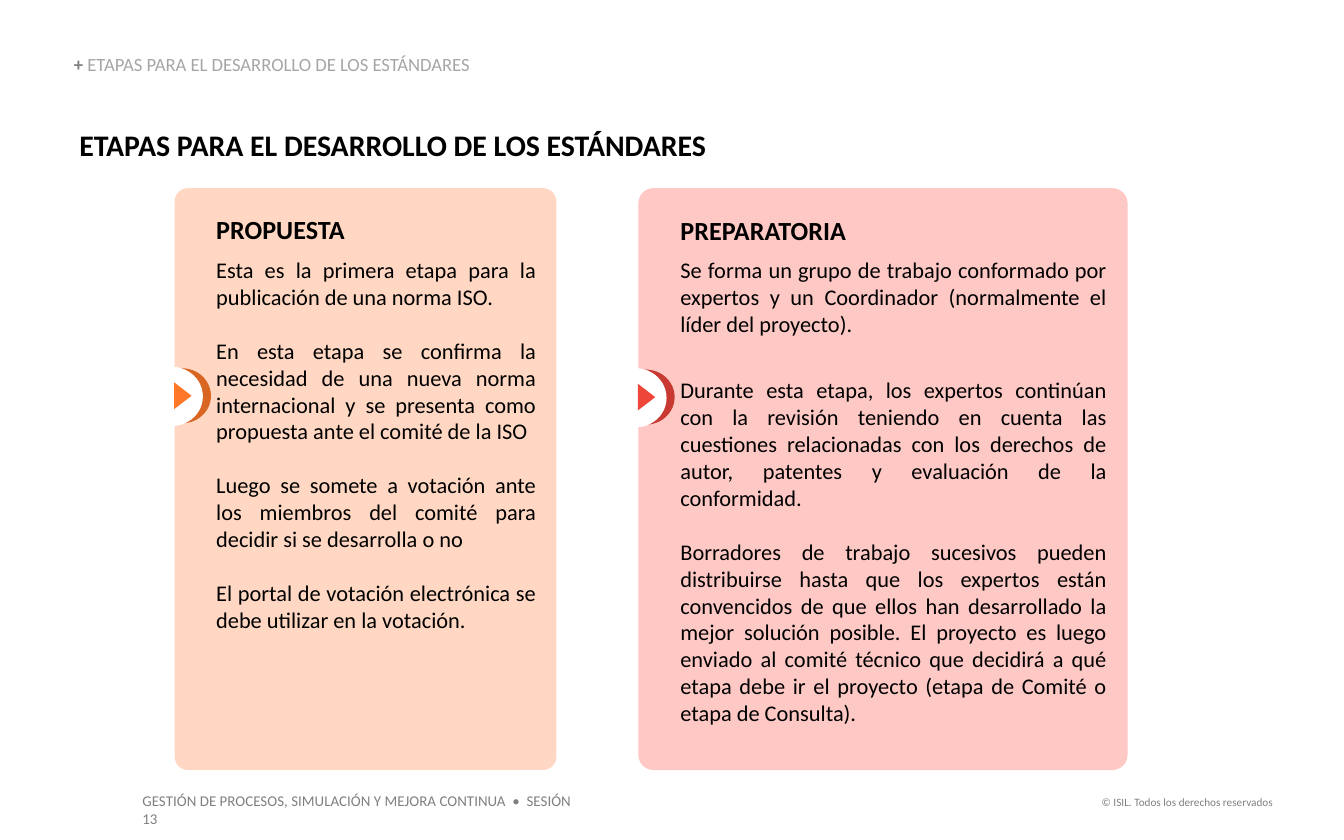
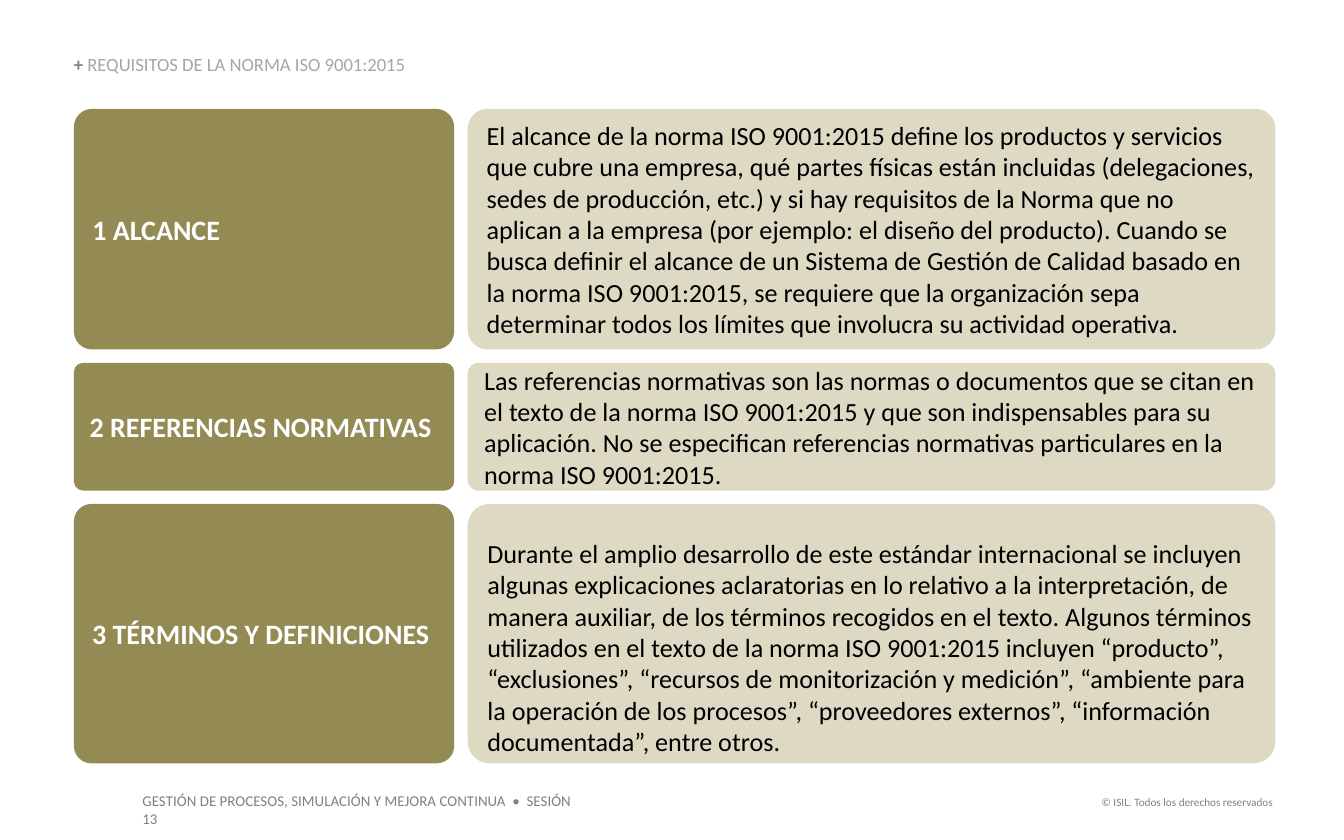
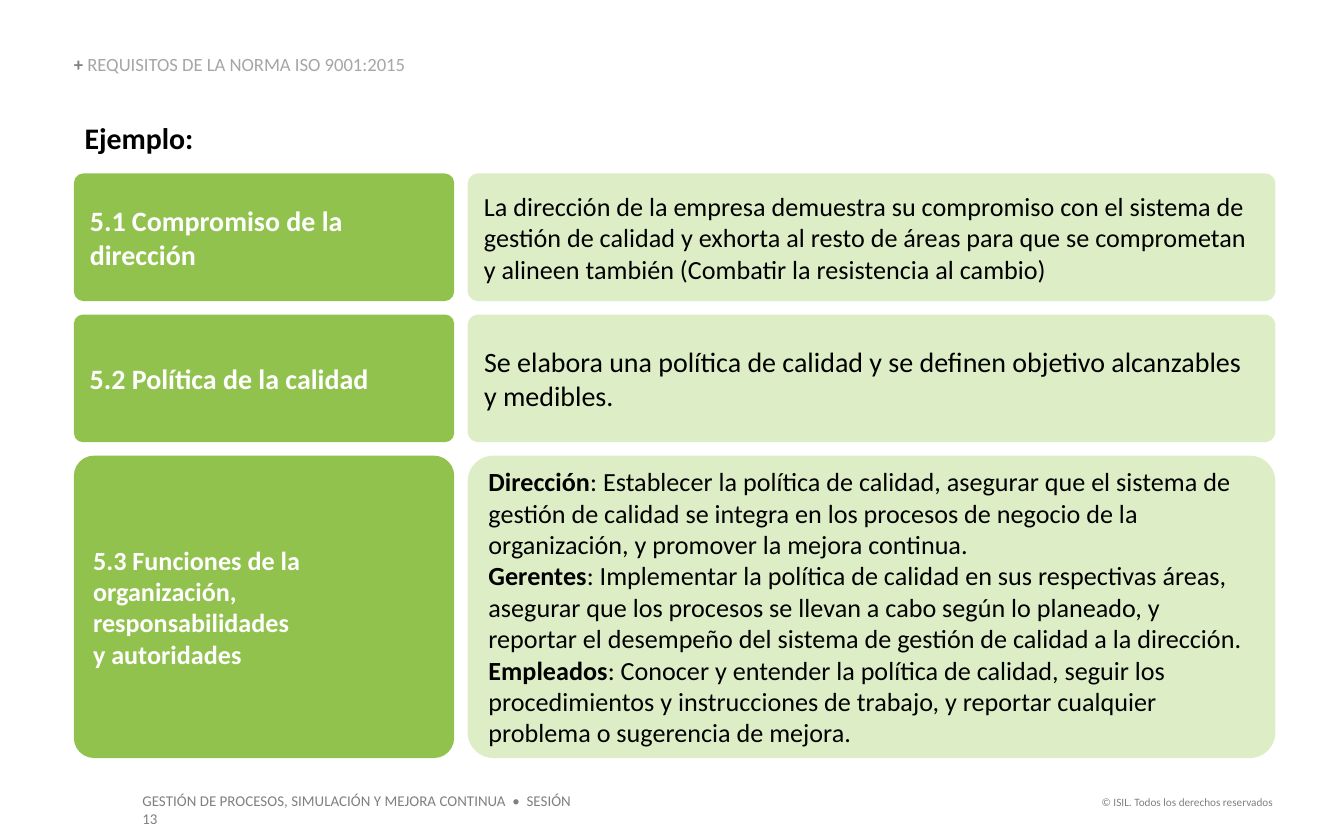
from pptx import Presentation
from pptx.dml.color import RGBColor
from pptx.enum.shapes import MSO_SHAPE
from pptx.enum.text import MSO_ANCHOR, MSO_AUTO_SIZE, PP_ALIGN
from pptx.util import Inches, Pt

ROUNDED, OVAL, TRIANGLE = (
    MSO_SHAPE.ROUNDED_RECTANGLE, MSO_SHAPE.OVAL, MSO_SHAPE.ISOSCELES_TRIANGLE)
TOP, MIDDLE, BOTTOM = MSO_ANCHOR.TOP, MSO_ANCHOR.MIDDLE, MSO_ANCHOR.BOTTOM
LEFT, RIGHT, JUSTIFY = PP_ALIGN.LEFT, PP_ALIGN.RIGHT, PP_ALIGN.JUSTIFY

FONT = "Calibri"
BLACK, WHITE, GRAY, LIGHT_GRAY = "000000", "FFFFFF", "808080", "A6A6A6"
TITLE_ONLY = 5

# Shared layout, in inches
LABEL_LEFT, LABEL_WIDTH = 0.55, 2.83
DETAIL_LEFT, DETAIL_WIDTH = 3.48, 6.01
ROW_GAP = 0.1
CORNERS = [(0.075, 0.082), (0.071, 0.085), (0.067, 0.085)]
CARD_TOP, CARD_HEIGHT = 1.4, 4.33
BLANK_LINE = 14.5  # points

COURSE = "GESTIÓN DE PROCESOS, SIMULACIÓN Y MEJORA CONTINUA  •  SESIÓN 13"
COPYRIGHT = "© ISIL. Todos los derechos reservados"
STAGES_TITLE = "ETAPAS PARA EL DESARROLLO DE LOS ESTÁNDARES"
REQUIREMENTS_TITLE = "REQUISITOS DE LA NORMA ISO 9001:2015"

# Each paragraph: text and the space after it in points
CARDS = [
    dict(left=1.3, width=2.84, corner=0.035, badge_top=2.73,
         fill="FFD7C2", ring="D86522", arrow="FF7828", name="PROPUESTA",
         paragraphs=[
             ("Esta es la primera etapa para la publicación de una norma ISO.", BLANK_LINE),
             ("En esta etapa se confirma la necesidad de una nueva norma internacional "
              "y se presenta como propuesta ante el comité de la ISO", BLANK_LINE),
             ("Luego se somete a votación ante los miembros del comité para decidir "
              "si se desarrolla o no", BLANK_LINE),
             ("El portal de votación electrónica se debe utilizar en la votación.", 0),
         ]),
    dict(left=4.75, width=3.64, corner=0.031, badge_top=2.74,
         fill="FEC9C5", ring="C73931", arrow="EE4639", name="PREPARATORIA",
         paragraphs=[
             ("Se forma un grupo de trabajo conformado por expertos y un Coordinador "
              "(normalmente el líder del proyecto).", 21),
             ("Durante esta etapa, los expertos continúan con la revisión teniendo en "
              "cuenta las cuestiones relacionadas con los derechos de autor, patentes y "
              "evaluación de la conformidad.", BLANK_LINE),
             ("Borradores de trabajo sucesivos pueden distribuirse hasta que los expertos "
              "están convencidos de que ellos han desarrollado la mejor solución "
              "posible. El proyecto es luego enviado al comité técnico que decidirá a qué "
              "etapa debe ir el proyecto (etapa de Comité o etapa de Consulta).", 0),
         ]),
]

# Each row: height, label lines, label size, detail paragraphs as (lead, text),
# detail size, top inset of the detail
CLAUSES = [
    (1.79, ["1 ALCANCE"], 15, [
        ("", "El alcance de la norma ISO 9001:2015 define los productos y servicios que "
         "cubre una empresa, qué partes físicas están incluidas (delegaciones, sedes de "
         "producción, etc.) y si hay requisitos de la Norma que no aplican a la empresa "
         "(por ejemplo: el diseño del producto). Cuando se busca definir el alcance de un "
         "Sistema de Gestión de Calidad basado en la norma ISO 9001:2015, se requiere que "
         "la organización sepa determinar todos los límites que involucra su actividad "
         "operativa.")], 14, 0.05),
    (0.95, ["2 REFERENCIAS NORMATIVAS"], 15, [
        ("", "Las referencias normativas son las normas o documentos que se citan en el "
         "texto de la norma ISO 9001:2015 y que son indispensables para su aplicación. No "
         "se especifican referencias normativas particulares en la norma ISO 9001:2015.")],
     14, 0.05),
    (1.93, ["3 TÉRMINOS Y DEFINICIONES"], 15, [
        ("", "Durante el amplio desarrollo de este estándar internacional se incluyen "
         "algunas explicaciones aclaratorias en lo relativo a la interpretación, de manera "
         "auxiliar, de los términos recogidos en el texto. Algunos términos utilizados en "
         "el texto de la norma ISO 9001:2015 incluyen “producto”, “exclusiones”, “recursos "
         "de monitorización y medición”, “ambiente para la operación de los procesos”, "
         "“proveedores externos”, “información documentada”, entre otros.")], 14, 0.25),
]
EXAMPLES = [
    (0.95, ["5.1 Compromiso de la dirección"], 15, [
        ("", "La dirección de la empresa demuestra su compromiso con el sistema de gestión "
         "de calidad y exhorta al resto de áreas para que se comprometan y alineen también "
         "(Combatir la resistencia al cambio)")], 14, 0.05),
    (0.95, ["5.2 Política de la calidad"], 15, [
        ("", "Se elabora una política de calidad y se definen objetivo alcanzables y "
         "medibles.")], 15, 0.05),
    (2.25, ["5.3 Funciones de la organización, responsabilidades", "y autoridades"], 14, [
        ("Dirección", ": Establecer la política de calidad, asegurar que el sistema de "
         "gestión de calidad se integra en los procesos de negocio de la organización, y "
         "promover la mejora continua."),
        ("Gerentes", ": Implementar la política de calidad en sus respectivas áreas, "
         "asegurar que los procesos se llevan a cabo según lo planeado, y reportar el "
         "desempeño del sistema de gestión de calidad a la dirección."),
        ("Empleados", ": Conocer y entender la política de calidad, seguir los "
         "procedimientos y instrucciones de trabajo, y reportar cualquier problema o "
         "sugerencia de mejora.")], 14, 0.05),
]


def color(hex_code):
    return RGBColor.from_string(hex_code)


def style(font, size, hex_code, bold=False):
    font.name, font.size, font.bold = FONT, Pt(size), bold
    font.color.rgb = color(hex_code)


def set_frame(frame, anchor=TOP, insets=(0, 0, 0, 0), wrap=True):
    """Insets run left, top, right, bottom, in inches."""
    frame.auto_size = MSO_AUTO_SIZE.NONE
    frame.word_wrap = wrap
    frame.vertical_anchor = anchor
    (frame.margin_left, frame.margin_top,
     frame.margin_right, frame.margin_bottom) = map(Inches, insets)


def add_paragraph(frame, spans, size, hex_code, bold=False, align=LEFT, after=0):
    """Spans are (text, bold) pairs, or one plain string."""
    first = frame.paragraphs[0]
    para = frame.add_paragraph() if first.runs else first
    para.alignment, para.space_after = align, Pt(after)
    style(para.font, size, hex_code, bold)
    if isinstance(spans, str):
        para.add_run().text = spans
        return
    for text, is_bold in spans:
        if text:
            span = para.add_run()
            span.text, span.font.bold = text, is_bold


def add_text(page, at, text, size, hex_code, bold=False, align=LEFT, wrap=True):
    frame = page.shapes.add_textbox(*map(Inches, at)).text_frame
    set_frame(frame, wrap=wrap)
    add_paragraph(frame, text, size, hex_code, bold, align)


def add_block(page, kind, at, fill, corner=None):
    block = page.shapes.add_shape(kind, *map(Inches, at))
    block.shadow.inherit = False
    block.fill.solid()
    block.fill.fore_color.rgb = color(fill)
    block.line.fill.background()
    if corner is not None:
        block.adjustments[0] = corner
    return block


def add_page(deck, title):
    page = deck.slides.add_slide(deck.slide_layouts[TITLE_ONLY])
    header = page.shapes.title
    header.left, header.top, header.width, header.height = map(
        Inches, (0.55, 0.41, 4.65, 0.15))
    set_frame(header.text_frame, BOTTOM)
    para = header.text_frame.paragraphs[0]
    para.alignment, para.line_spacing = LEFT, 0.9
    for text, hex_code, bold in (("+ ", GRAY, True), (title, LIGHT_GRAY, False)):
        span = para.add_run()
        span.text = text
        style(span.font, 10, hex_code, bold)
    add_text(page, (1.06, 5.89, 3.33, 0.14), COURSE, 8, GRAY)
    add_text(page, (8.17, 5.92, 1.3, 0.1), COPYRIGHT, 6, GRAY, align=RIGHT, wrap=False)
    return page


def add_card(page, card):
    left, badge_top = card["left"], card["badge_top"]
    block = add_block(page, ROUNDED, (left, CARD_TOP, card["width"], CARD_HEIGHT),
                      card["fill"], card["corner"])
    set_frame(block.text_frame, TOP, (0.28, 0.16, 0.12, 0.05))
    add_paragraph(block.text_frame, card["name"], 14, BLACK, True, after=6)
    for text, after in card["paragraphs"]:
        add_paragraph(block.text_frame, text, 12, BLACK, align=JUSTIFY, after=after)
    add_block(page, OVAL, (left - 0.16, badge_top + 0.01, 0.43, 0.41), card["ring"])
    add_block(page, OVAL, (left - 0.25, badge_top, 0.46, 0.44), WHITE)
    arrow = add_block(page, TRIANGLE, (left - 0.04, badge_top + 0.15, 0.2, 0.13),
                      card["arrow"])
    arrow.rotation = 90


def add_rows(page, top, rows, label_fill, detail_fill):
    for row, (label_corner, detail_corner) in zip(rows, CORNERS):
        height, label_lines, label_size, details, detail_size, top_inset = row
        label = add_block(page, ROUNDED, (LABEL_LEFT, top, LABEL_WIDTH, height),
                          label_fill, label_corner)
        set_frame(label.text_frame, MIDDLE, (0.1, 0.05, 0.1, 0.05))
        for line in label_lines:
            add_paragraph(label.text_frame, line, label_size, WHITE, True)
        detail = add_block(page, ROUNDED, (DETAIL_LEFT, top, DETAIL_WIDTH, height),
                           detail_fill, detail_corner)
        set_frame(detail.text_frame, MIDDLE, (0.1, top_inset, 0.1, 0.05))
        for lead, text in details:
            add_paragraph(detail.text_frame, [(lead, True), (text, False)],
                          detail_size, BLACK)
        top += height + ROW_GAP


def main():
    deck = Presentation()
    deck.slide_width, deck.slide_height = Inches(10), Inches(6.25)

    stages = add_page(deck, STAGES_TITLE)
    add_text(stages, (0.59, 0.94, 8.92, 0.27), STAGES_TITLE, 16, BLACK, True)
    for card in CARDS:
        add_card(stages, card)

    clauses = add_page(deck, REQUIREMENTS_TITLE)
    add_rows(clauses, 0.81, CLAUSES, "948A54", "DDD9C3")

    examples = add_page(deck, REQUIREMENTS_TITLE)
    add_text(examples, (0.63, 0.89, 8.74, 0.27), "Ejemplo:", 16, BLACK, True)
    add_rows(examples, 1.29, EXAMPLES, "92C24E", "DDEEC7")

    deck.save("out.pptx")


if __name__ == "__main__":
    main()
